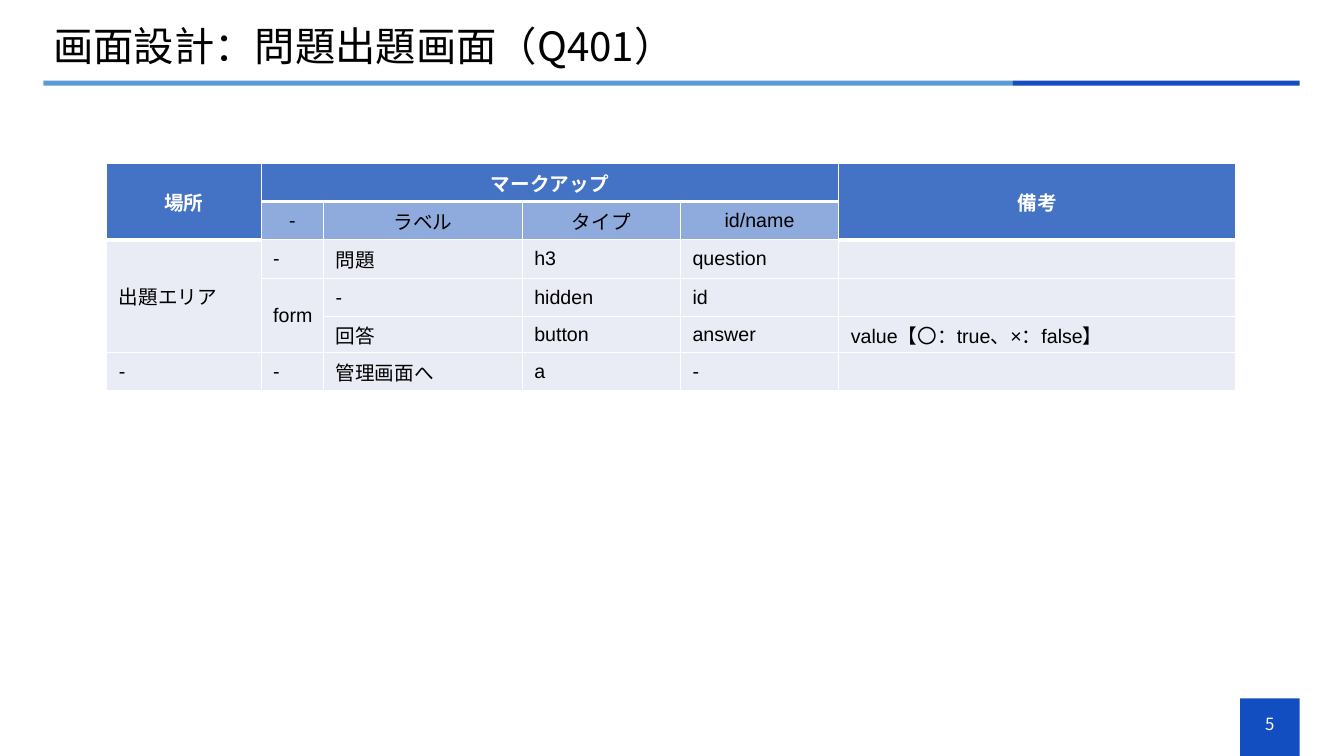
from lxml.etree import SubElement
from pptx import Presentation
from pptx.dml.color import RGBColor
from pptx.enum.shapes import MSO_SHAPE
from pptx.enum.text import MSO_ANCHOR, PP_ALIGN
from pptx.oxml.ns import qn
from pptx.util import Inches, Pt

COLORS = {"navy": "134EC1", "sky": "5B9BD5", "header": "4472C4", "subheader": "8FAADC",
          "body": "E9EBF5", "white": "FFFFFF", "black": "000000"}
JAPANESE = "Noto Sans CJK JP"
COLUMN_WIDTHS = [1.53, 0.62, 1.97, 1.57, 1.57, 3.94]
ROW_HEIGHTS = [0.38, 0.38, 0.36, 0.36, 0.36, 0.36]
ROWS = [
    ["場所", "マークアップ", "", "", "", "備考"],
    ["", "-", "ラベル", "タイプ", "id/name", ""],
    ["出題エリア", "-", "問題", "h3", "question", ""],
    ["", "form", "-", "hidden", "id", ""],
    ["", "", "回答", "button", "answer", "value【〇：true、×：false】"],
    ["-", "-", "管理画面へ", "a", "-", ""],
]
MERGES = [((0, 0), (1, 0)), ((0, 1), (0, 4)), ((0, 5), (1, 5)), ((2, 0), (4, 0)), ((3, 1), (4, 1))]


def color(name):
    """Return the named colour."""
    return RGBColor.from_string(COLORS[name])


def write(frame, text, size=14, font=JAPANESE, ink="black", bold=False, align=PP_ALIGN.LEFT, spacing=1.0):
    """Write one formatted line into a text frame."""
    para = frame.paragraphs[0]
    para.alignment = align
    para.line_spacing = spacing
    span = para.add_run()
    span.text = text
    span.font.size = Pt(size)
    span.font.bold = bold
    span.font.color.rgb = color(ink)
    span.font.name = font
    SubElement(span.font._element, qn("a:ea"), typeface=JAPANESE)


def add_label(page, text, left, top, width, height, **style):
    """Add a vertically centred text box."""
    box = page.shapes.add_textbox(Inches(left), Inches(top), Inches(width), Inches(height))
    box.text_frame.word_wrap = True
    box.text_frame.vertical_anchor = MSO_ANCHOR.MIDDLE
    write(box.text_frame, text, **style)


def add_block(page, fill, left, top, width, height):
    """Add a plain filled rectangle."""
    block = page.shapes.add_shape(MSO_SHAPE.RECTANGLE, Inches(left), Inches(top), Inches(width), Inches(height))
    block.shadow.inherit = False
    block.fill.solid()
    block.fill.fore_color.rgb = color(fill)
    block.line.fill.background()


def add_heading(page, left, top, width):
    """Place the title above its two-colour rule."""
    split = 9.61
    add_block(page, "sky", left, top + 0.59, split, 0.05)
    add_block(page, "navy", left + split, top + 0.59, width - split, 0.05)
    add_label(page, "画面設計：問題出題画面（Q401）", left, top, width, 0.55, size=28.8, spacing=0.9)


def add_page_number(page, left, top, width, height):
    """Place the page number on its corner block."""
    add_block(page, "navy", left, top, width, height)
    add_label(page, "5", left, top + 0.05, width, 0.4, size=12, ink="white", align=PP_ALIGN.CENTER)


def is_heavy(row, column):
    """Tell whether a thick rule runs below a cell."""
    return row == 0 or (row == 1 and column in (0, 5))


def add_borders(cell, row, column):
    """Draw white cell borders, thick below the header."""
    heavy = {"lnT": is_heavy(row - 1, column), "lnB": is_heavy(row, column)}
    properties = cell._tc.get_or_add_tcPr()
    for side in ("lnL", "lnR", "lnT", "lnB"):
        line = SubElement(properties, qn(f"a:{side}"), w=str(Pt(3 if heavy.get(side) else 1)))
        SubElement(SubElement(line, qn("a:solidFill")), qn("a:srgbClr"), val=COLORS["white"])


def format_cell(cell, text, row, column):
    """Fill, border and write one table cell."""
    header = is_heavy(row, column)
    fill = "header" if header else "subheader" if row == 1 else "body"
    add_borders(cell, row, column)
    cell.fill.solid()
    cell.fill.fore_color.rgb = color(fill)
    cell.vertical_anchor = MSO_ANCHOR.MIDDLE
    if row > 1:
        cell.margin_left, cell.margin_right = Inches(0.12), Inches(0)
        cell.margin_top = cell.margin_bottom = Inches(0.04)
    write(cell.text_frame, text, font=JAPANESE if text == "マークアップ" else "Arial",
          ink="white" if header else "black", bold=header,
          align=PP_ALIGN.CENTER if row < 2 else PP_ALIGN.LEFT)


def add_markup_table(page, left, top):
    """Place the markup table."""
    table = page.shapes.add_table(len(ROWS), len(COLUMN_WIDTHS), Inches(left), Inches(top),
                                  Inches(sum(COLUMN_WIDTHS)), Inches(sum(ROW_HEIGHTS))).table
    table.first_row = table.horz_banding = False
    for column, width in zip(table.columns, COLUMN_WIDTHS):
        column.width = Inches(width)
    for row, height in zip(table.rows, ROW_HEIGHTS):
        row.height = Inches(height)
    for row, texts in enumerate(ROWS):
        for column, text in enumerate(texts):
            format_cell(table.cell(row, column), text, row, column)
    for first, last in MERGES:
        table.cell(*first).merge(table.cell(*last))


def main():
    """Build and save the deck."""
    deck = Presentation()
    deck.slide_width, deck.slide_height = Inches(13.33), Inches(7.5)
    page = deck.slides.add_slide(deck.slide_layouts[6])
    add_heading(page, 0.43, 0.21, 12.46)
    add_markup_table(page, 1.06, 1.62)
    add_page_number(page, 12.3, 6.93, 0.59, 0.57)
    deck.save("out.pptx")


if __name__ == "__main__":
    main()
